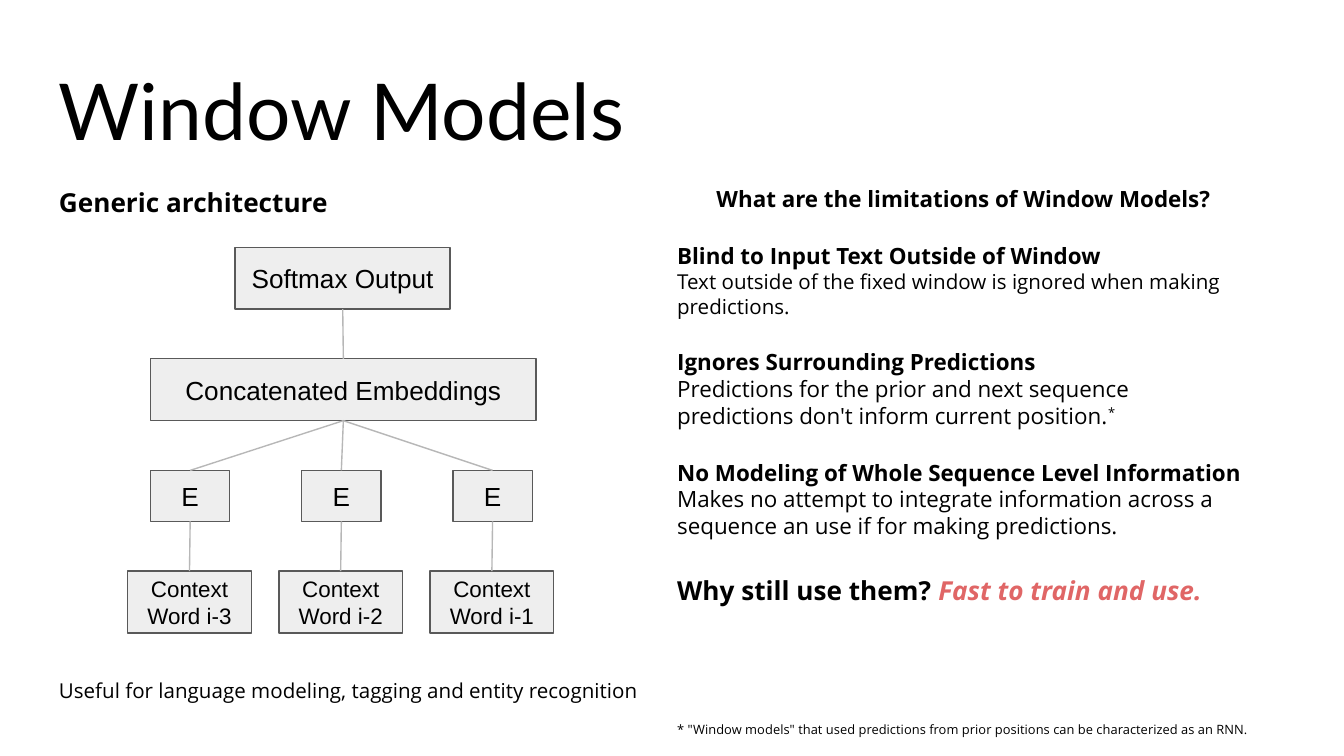
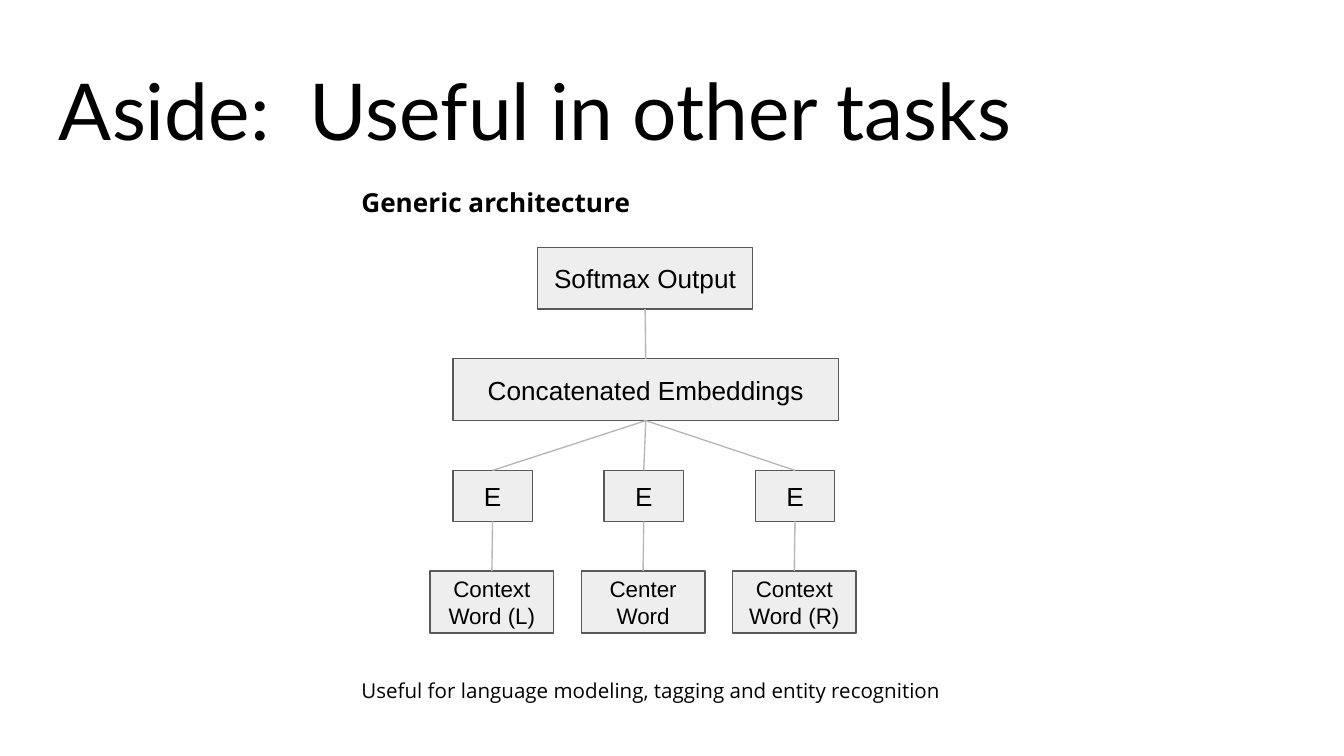
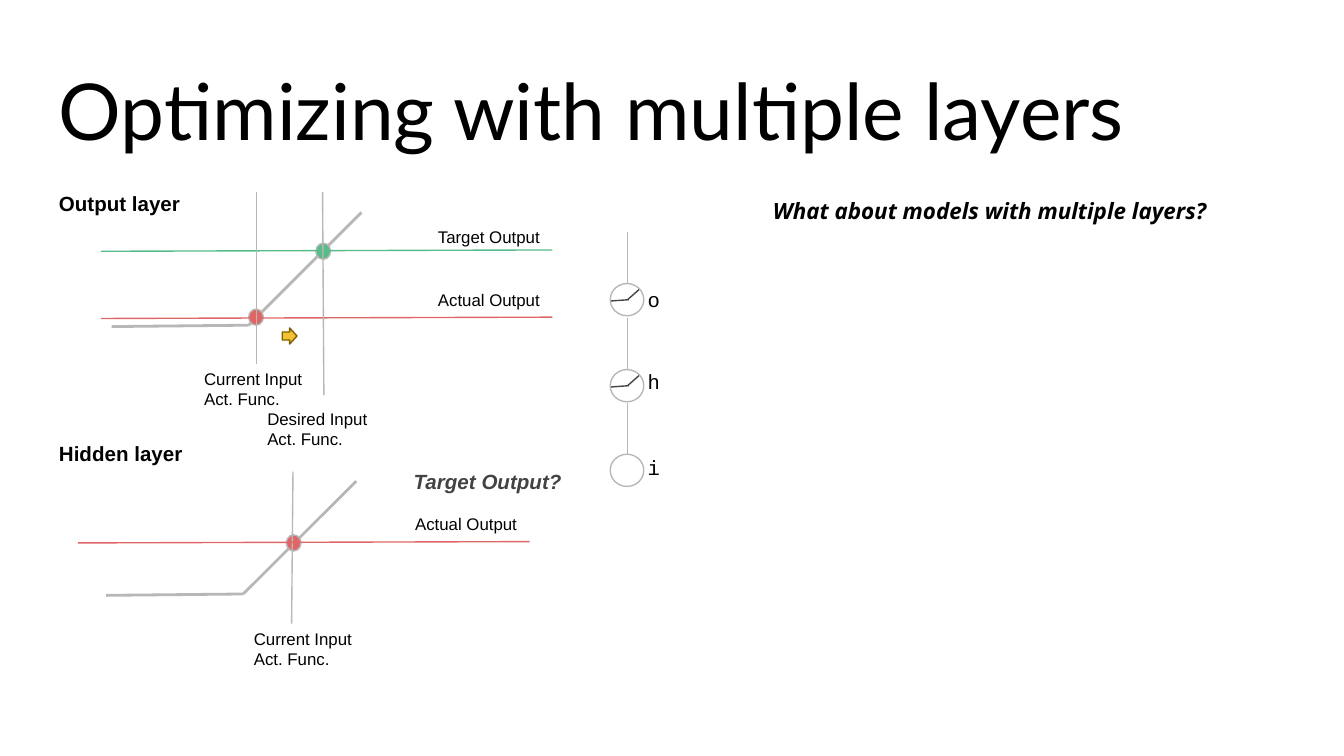
import pptx
import pptx.util
import pptx.dml.color
import pptx.enum.shapes
import pptx.enum.text
import pptx.oxml.ns
import lxml.etree
from dataclasses import dataclass

Inches = pptx.util.Inches
SHAPE = pptx.enum.shapes.MSO_SHAPE
ALIGN = pptx.enum.text.PP_ALIGN
ANCHOR = pptx.enum.text.MSO_ANCHOR


@dataclass(frozen=True)
class Theme:
    # Colours
    ink: str = "000000"
    dark: str = "434343"
    box: str = "EEEEEE"
    border: str = "595959"
    link: str = "B7B7B7"
    red: str = "E06666"
    green: str = "57BB8A"
    arrow: str = "F1C232"
    arrow_edge: str = "7F6000"
    # Fonts
    title_font: str = "Lato"
    body_font: str = "Open Sans"
    label_font: str = "Arial"
    code_font: str = "Courier New"
    # Type sizes and line widths
    title: int = 42
    head: int = 14
    body: int = 12
    small: int = 11
    label: int = 9
    thin: float = 0.75
    thick: float = 1.5


T = Theme()


def rgb(value):
    return pptx.dml.color.RGBColor.from_string(value)


# Text
def add_run(p, text, size, font=T.body_font, color=T.ink, bold=False, italic=False, raised=False):
    r = p.add_run()
    r.text = text
    r.font.size = pptx.util.Pt(size)
    r.font.name = font
    r.font.color.rgb = rgb(color)
    r.font.bold = bold
    r.font.italic = italic
    if raised:
        r._r.get_or_add_rPr().set("baseline", "30000")


def set_frame(tf, anchor=ANCHOR.TOP):
    tf.word_wrap = True
    tf.vertical_anchor = anchor
    tf.margin_left = tf.margin_right = tf.margin_top = tf.margin_bottom = Inches(0.1)


def format_par(p, spacing=1.15, before=0, after=0, align=ALIGN.LEFT):
    p.line_spacing = spacing
    p.space_before = pptx.util.Pt(before)
    p.space_after = pptx.util.Pt(after)
    p.alignment = align
    return p


def add_box(s, x, y, w, h, anchor=ANCHOR.TOP):
    tf = s.shapes.add_textbox(Inches(x), Inches(y), Inches(w), Inches(h)).text_frame
    set_frame(tf, anchor)
    return tf


def add_title(s, text):
    tf = add_box(s, 0.34, 0.35, 9.32, 0.91, ANCHOR.BOTTOM)
    add_run(tf.paragraphs[0], text, T.title, T.title_font)


def add_label(s, x, y, w, h, lines, size=T.label, font=T.label_font, **style):
    p = add_box(s, x, y, w, h).paragraphs[0]
    for i, line in enumerate(lines.split("\n")):
        if i:
            p.add_line_break()
        add_run(p, line, size, font, **style)


# Shapes and lines
def add_shape(s, kind, x, y, w, h, fill, line):
    sp = s.shapes.add_shape(kind, Inches(x), Inches(y), Inches(w), Inches(h))
    sp.shadow.inherit = False
    if fill:
        sp.fill.solid()
        sp.fill.fore_color.rgb = rgb(fill)
    else:
        sp.fill.background()
    sp.line.color.rgb = rgb(line)
    sp.line.width = pptx.util.Pt(T.thin)
    return sp


def add_block(s, x, y, w, h, text, size=T.head):
    sp = add_shape(s, SHAPE.RECTANGLE, x, y, w, h, T.box, T.border)
    set_frame(sp.text_frame, ANCHOR.MIDDLE)
    p = sp.text_frame.paragraphs[0]
    p.alignment = ALIGN.CENTER
    add_run(p, text, size, T.label_font)
    return sp


def add_line(s, x1, y1, x2, y2, color=T.link, width=T.thin):
    c = s.shapes.add_connector(pptx.enum.shapes.MSO_CONNECTOR.STRAIGHT,
                               Inches(x1), Inches(y1), Inches(x2), Inches(y2))
    c.line.color.rgb = rgb(color)
    c.line.width = pptx.util.Pt(width)
    lxml.etree.SubElement(c._element.spPr, pptx.oxml.ns.qn("a:effectLst"))
    return c


def link_up(s, lower, upper):
    c = add_line(s, 0, 0, 1, 1)
    c.begin_connect(lower, 0)
    c.end_connect(upper, 2)


# Window architecture: heading, block tree and caption, moved right by dx
def add_architecture(s, dx, words):
    tf = add_box(s, 0.34 + dx, 1.25, 4.52, 4.16)
    add_run(format_par(tf.paragraphs[0]), "Generic architecture", T.head, bold=True)
    add_run(format_par(tf.add_paragraph(), before=245, after=16),
            "Useful for language modeling, tagging and entity recognition", T.small)

    softmax = add_block(s, 1.75 + dx, 1.84, 1.6, 0.46, "Softmax Output")
    concat = add_block(s, 1.12 + dx, 2.67, 2.87, 0.46, "Concatenated Embeddings")
    link_up(s, concat, softmax)
    for i, word in enumerate(words):
        x = dx + 1.125 * i
        embedding = add_block(s, 1.12 + x, 3.5, 0.59, 0.38, "E")
        source = add_block(s, 0.95 + x, 4.25, 0.92, 0.46, word, T.body)
        link_up(s, source, embedding)
        link_up(s, embedding, concat)


def add_limitations(s):
    tf = add_box(s, 4.94, 1.25, 4.46, 3.67)
    add_run(format_par(tf.paragraphs[0], align=ALIGN.CENTER),
            "What are the limitations of Window Models?", T.body, bold=True)
    limits = [
        ("Blind to Input Text Outside of Window", T.small,
         "Text outside of the fixed window is ignored when making predictions.", ""),
        ("Ignores Surrounding Predictions", T.body,
         "Predictions for the prior and next sequence predictions don't inform current position.", "*"),
        ("No Modeling of Whole Sequence Level Information", T.body,
         "Makes no attempt to integrate information across a sequence an use if for making predictions.", ""),
    ]
    for heading, size, text, mark in limits:
        add_run(format_par(tf.add_paragraph(), 1.0, before=16), heading, T.body, bold=True)
        p = format_par(tf.add_paragraph(), 1.0)
        add_run(p, text, size)
        if mark:
            add_run(p, mark, size, raised=True)
    p = format_par(tf.add_paragraph(), 1.0, before=19, after=16)
    add_run(p, "Why still use them? ", T.head, bold=True)
    add_run(p, "Fast to train and use.", T.head, color=T.red, bold=True, italic=True)


def add_footnote(s, text):
    tf = add_box(s, 4.94, 5.22, 5.27, 0.58)
    add_run(format_par(tf.paragraphs[0], after=16), text, T.body, raised=True)


# Activation plots and the network column; (x, y) is where the curve bends
def add_relu(s, x, y):
    add_line(s, x - 1.02, y + 0.01, x, y, width=T.thick)
    add_line(s, x, y, x + 0.84, y - 0.84, width=T.thick)


def add_dot(s, x, y, color):
    add_shape(s, SHAPE.OVAL, x, y, 0.11, 0.12, color, T.link)


def add_level(s, x, y, color):
    add_line(s, x, y, x + 3.36, y - 0.01, color)


def add_node(s, y, name, label_y, active):
    add_line_x = 4.54
    if active:
        add_line(s, add_line_x, y + 0.13, 4.68, y + 0.12, T.dark)
        add_line(s, 4.67, y + 0.12, 4.76, y + 0.04, T.dark)
    add_shape(s, SHAPE.OVAL, add_line_x, y, 0.25, 0.24, None, T.link)
    add_label(s, 4.72, label_y, 0.25, 0.54, name, T.small, T.code_font)


def add_output_plot(s):
    add_relu(s, 1.85, 2.42)
    add_dot(s, 2.35, 1.81, T.green)
    add_dot(s, 1.85, 2.3, T.red)
    add_level(s, 0.75, 1.87, T.green)
    add_level(s, 0.75, 2.37, T.red)
    add_line(s, 1.91, 1.43, 1.91, 2.71)
    add_line(s, 2.4, 1.43, 2.41, 2.94)
    add_shape(s, SHAPE.RIGHT_ARROW, 2.1, 2.44, 0.11, 0.12, T.arrow, T.arrow_edge)
    add_label(s, 0.34, 1.33, 4.66, 0.54, "Output layer", T.small, bold=True)
    add_label(s, 3.16, 1.61, 1.91, 0.35, "Target Output")
    add_label(s, 3.16, 2.08, 1.09, 0.35, "Actual Output")
    add_label(s, 1.42, 2.64, 1.09, 0.35, "Current Input\nAct. Func.")
    add_label(s, 1.89, 2.94, 1.09, 0.35, "Desired Input\nAct. Func.")


def add_hidden_plot(s):
    add_relu(s, 1.81, 4.42)
    add_dot(s, 2.13, 3.98, T.red)
    add_line(s, 2.18, 3.51, 2.17, 4.64)
    add_level(s, 0.58, 4.04, T.red)
    add_label(s, 0.34, 3.19, 1.51, 0.48, "Hidden layer", T.small, bold=True)
    add_label(s, 2.98, 3.4, 1.36, 0.35, "Target Output?", T.small,
              color=T.dark, bold=True, italic=True)
    add_label(s, 2.99, 3.75, 1.09, 0.35, "Actual Output")
    add_label(s, 1.79, 4.58, 1.09, 0.35, "Current Input\nAct. Func.")


def add_network(s):
    nodes = [(2.11, "o", 2.04, True), (2.75, "h", 2.65, True), (3.38, "i", 3.29, False)]
    for y, name, label_y, active in nodes:
        add_line(s, 4.67, y - 0.38, 4.67, y)
        add_node(s, y, name, label_y, active)


def add_question(s, text):
    tf = add_box(s, 5.07, 1.34, 4.59, 3.67)
    add_run(format_par(tf.paragraphs[0], align=ALIGN.CENTER), text, T.body,
            bold=True, italic=True)


def new_slide(prs, title):
    s = prs.slides.add_slide(prs.slide_layouts[6])
    add_title(s, title)
    return s


def main():
    prs = pptx.Presentation()
    prs.slide_width = Inches(10)
    prs.slide_height = Inches(5.625)

    s = new_slide(prs, "Window Models")
    add_architecture(s, 0, ["Context Word i-3", "Context Word i-2", "Context Word i-1"])
    add_limitations(s)
    add_footnote(s, '* "Window models" that used predictions from prior positions '
                    'can be characterized as an RNN.')

    s = new_slide(prs, "Aside:  Useful in other tasks")
    add_architecture(s, 2.25, ["Context Word (L)", "Center Word", "Context Word (R)"])

    s = new_slide(prs, "Optimizing with multiple layers")
    add_question(s, "What about models with multiple layers?")
    add_output_plot(s)
    add_hidden_plot(s)
    add_network(s)

    prs.save("out.pptx")


if __name__ == "__main__":
    main()
